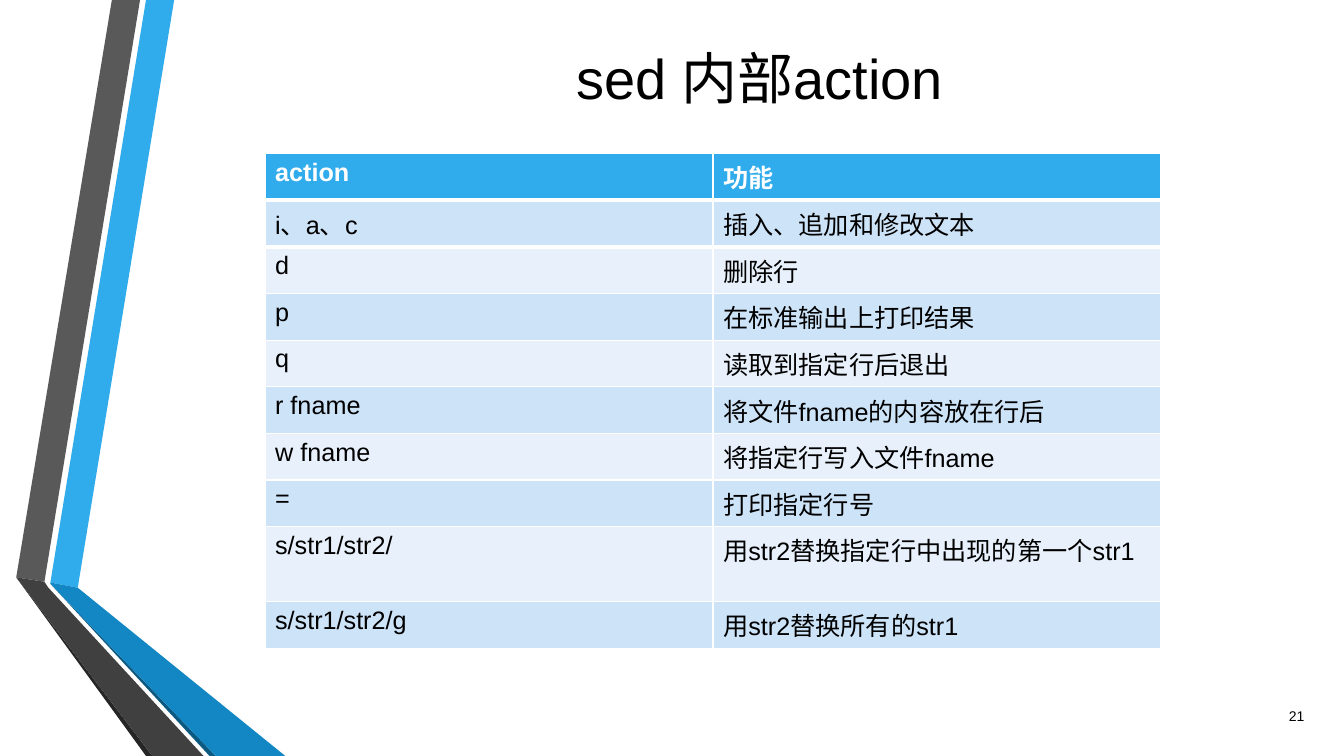
from lxml import etree
from pptx import Presentation
from pptx import util as u
from pptx.dml.color import RGBColor
from pptx.enum import text
from pptx.oxml import ns

FONT = "Arial"
HUES = {
    "black": "000000", "white": "FFFFFF",
    "blue": "30ACEC", "deep": "1287C3", "navy": "0C5A82",
    "gray": "595959", "dark": "404040", "coal": "262626",
    "odd": "CDE3F8", "even": "E8F1FB",
}
BANDS = [
    ("blue", [(1.27, 14.68), (1.96, 14.81), (4.39, 0), (3.68, 0)]),
    ("gray", [(3.53, 0), (2.82, 0), (0.41, 14.55), (1.12, 14.66)]),
    ("coal", [(0.41, 14.55), (3.68, 19.05), (3.84, 19.05)]),
    ("navy", [(1.27, 14.71), (5.28, 19.05), (5.44, 19.05)]),
    ("deep", [(1.27, 14.68), (1.27, 14.71), (5.44, 19.05), (7.19, 19.05), (1.96, 14.81)]),
    ("dark", [(5.13, 19.05), (1.22, 14.81), (1.12, 14.66), (0.41, 14.55), (3.84, 19.05)]),
]
ROWS = [
    ("action", "功能"),
    ("i、a、c", "插入、追加和修改文本"),
    ("d", "删除行"),
    ("p", "在标准输出上打印结果"),
    ("q", "读取到指定行后退出"),
    ("r fname", "将文件fname的内容放在行后"),
    ("w fname", "将指定行写入文件fname"),
    ("=", "打印指定行号"),
    ("s/str1/str2/", "用str2替换指定行中出现的第一个str1"),
    ("s/str1/str2/g", "用str2替换所有的str1"),
]
TALL = 8


def hue(name):
    return RGBColor.from_string(HUES[name])


def paint(shape, name):
    shape.fill.solid()
    shape.fill.fore_color.rgb = hue(name)


def style(para, size, name, bold=False):
    font = para.font
    font.name, font.size, font.bold = FONT, u.Pt(size), bold
    font.color.rgb = hue(name)


def edge(cell, side, width):
    line = etree.Element(ns.qn("a:ln" + side), w=str(u.Pt(width)))
    fill = etree.SubElement(line, ns.qn("a:solidFill"))
    etree.SubElement(fill, ns.qn("a:srgbClr"), val=HUES["white"])
    props = cell._tc.get_or_add_tcPr()
    props.insert(len(props) - 1, line)


def add_bands(slide, left, top):
    for name, points in BANDS:
        dots = [(x * 100, y * 100) for x, y in points]
        form = slide.shapes.build_freeform(*dots[0], scale=u.Cm(0.01))
        form.add_line_segments(dots[1:], close=True)
        band = form.convert_to_shape(u.Cm(left), u.Cm(top))
        band.shadow.inherit = False
        paint(band, name)
        band.line.fill.background()


def add_label(slide, box, words, size, align):
    frame = slide.shapes.add_textbox(*map(u.Cm, box)).text_frame
    frame.word_wrap = True
    frame.vertical_anchor = text.MSO_ANCHOR.MIDDLE
    para = frame.paragraphs[0]
    para.text, para.alignment = words, align
    style(para, size, "black")


def add_grid(slide, box):
    grid = slide.shapes.add_table(len(ROWS), 2, *map(u.Cm, box)).table
    grid.rows[TALL].height = u.Cm(1.89)
    for i, row in enumerate(ROWS):
        head = i == 0
        fill = "blue" if head else "odd" if i % 2 else "even"
        for j, words in enumerate(row):
            cell = grid.cell(i, j)
            cell.text = words
            paint(cell, fill)
            style(cell.text_frame.paragraphs[0], 18, "white" if head else "black", head)
            if i < 2:
                edge(cell, "B" if head else "T", 3)


def main():
    deck = Presentation()
    deck.slide_width, deck.slide_height = u.Cm(33.87), u.Cm(19.05)
    slide = deck.slides.add_slide(deck.slide_layouts[6])
    add_bands(slide, 0, 0)
    add_label(slide, (5.15, 0.69, 27.99, 2.49), "sed 内部action", 40, text.PP_ALIGN.CENTER)
    add_label(slide, (31.6, 17.53, 1.52, 1.02), "21", 10, text.PP_ALIGN.RIGHT)
    add_grid(slide, (6.68, 3.87, 22.58, 11.75))
    deck.save("out.pptx")


if __name__ == "__main__":
    main()
